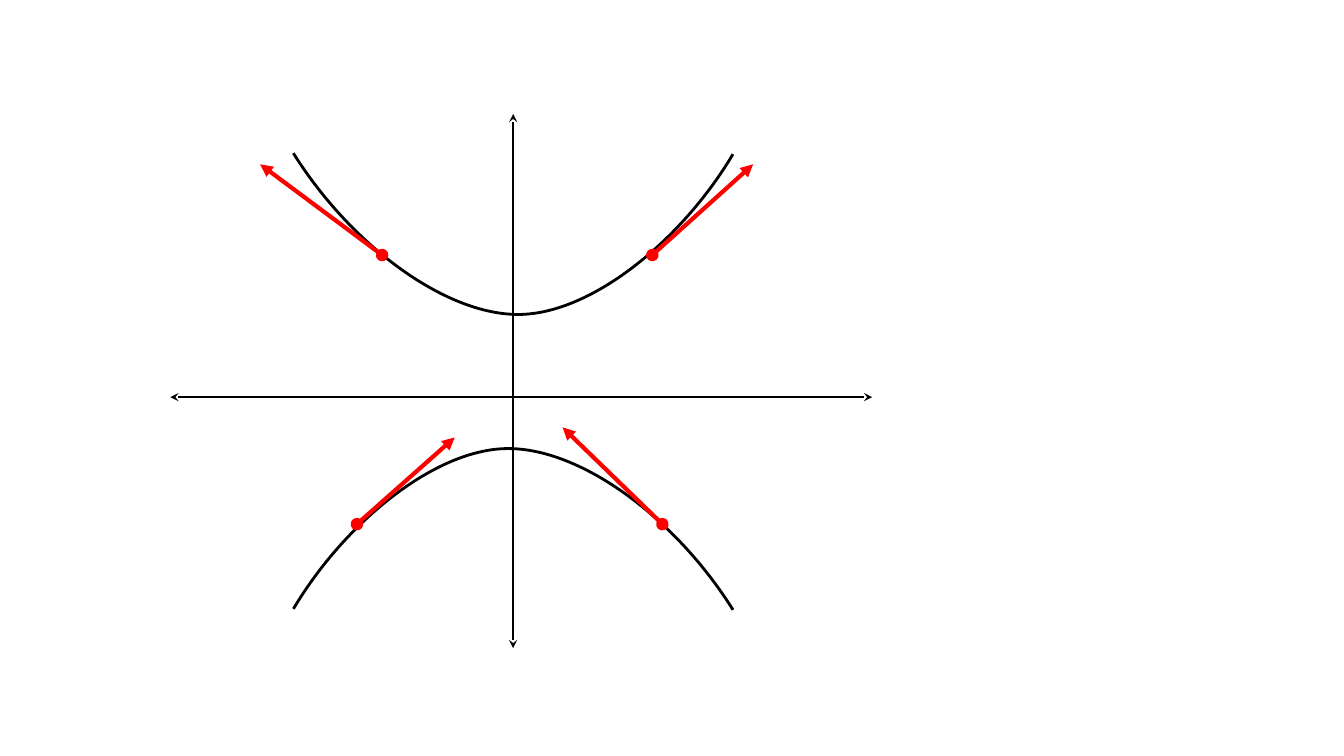
"""Hyperbola with tangent arrows on a pair of axes."""
from dataclasses import dataclass

from lxml import etree
from pptx import Presentation
from pptx.dml.color import RGBColor
from pptx.enum import shapes
from pptx.oxml import ns
from pptx.util import Inches, Pt


@dataclass(frozen=True)
class Theme:
    """Colours and line widths of the slide."""
    ink: RGBColor = RGBColor(0, 0, 0)
    tangent: RGBColor = RGBColor(255, 0, 0)
    axis_width: float = 1.25
    curve_width: float = 2
    tangent_width: float = 3


THEME = Theme()
AXES = [((5.09, 6.43), (5.09, 1.13)), ((8.65, 3.94), (1.69, 3.94))]
TANGENTS = [
    ((7.47, 1.63), (6.47, 2.53)),
    ((2.58, 1.63), (3.79, 2.53)),
    ((5.58, 4.24), (6.57, 5.2)),
    ((4.51, 4.34), (3.54, 5.2)),
]
BRANCH = [
    (2.91, 1.52), (3.48, 2.43), (4.41, 3.12), (5.14, 3.12),
    (5.86, 3.12), (6.76, 2.39), (7.27, 1.53),
]
BRANCH_PLACES = [(1.52, 0), (4.45, 180)]


def style_line(line, colour, width):
    """Set the colour and width of a line."""
    line.color.rgb = colour
    line.width = Pt(width)


def add_arrow(page, start, end, colour, width, head, tail):
    """Draw a straight line with the given end marks."""
    arrow = page.shapes.add_connector(
        shapes.MSO_CONNECTOR.STRAIGHT, *map(Inches, start + end))
    style_line(arrow.line, colour, width)
    properties = arrow.element.spPr
    outline = properties.find(ns.qn("a:ln"))
    for tag, mark in (("a:headEnd", head), ("a:tailEnd", tail)):
        etree.SubElement(outline, ns.qn(tag), type=mark)
    etree.SubElement(properties, ns.qn("a:effectLst"))


def bend_segments(curve):
    """Turn each three straight segments into one cubic curve."""
    outline = next(curve.element.iter(ns.qn("a:path")))
    segments = outline.findall(ns.qn("a:lnTo"))
    for first in range(0, len(segments), 3):
        cubic = etree.SubElement(outline, ns.qn("a:cubicBezTo"))
        for segment in segments[first:first + 3]:
            cubic.append(segment[0])
            outline.remove(segment)


def add_curve(page, controls, top, rotation):
    """Draw an open curve from its control points."""
    start, *rest = [tuple(map(Inches, point)) for point in controls]
    builder = page.shapes.build_freeform(*start)
    builder.add_line_segments(rest, close=False)
    curve = builder.convert_to_shape()
    bend_segments(curve)
    curve.top = Inches(top)
    curve.rotation = rotation
    curve.shadow.inherit = False
    curve.fill.background()
    style_line(curve.line, THEME.ink, THEME.curve_width)


def main():
    """Build and save the slide."""
    deck = Presentation()
    deck.slide_width, deck.slide_height = Inches(13.33), Inches(7.5)
    page = deck.slides.add_slide(deck.slide_layouts[6])
    for start, end in AXES:
        add_arrow(page, start, end, THEME.ink, THEME.axis_width,
                  "stealth", "stealth")
    for top, rotation in BRANCH_PLACES:
        add_curve(page, BRANCH, top, rotation)
    for tip, contact in TANGENTS:
        add_arrow(page, tip, contact, THEME.tangent, THEME.tangent_width,
                  "triangle", "oval")
    deck.save("out.pptx")


if __name__ == "__main__":
    main()
